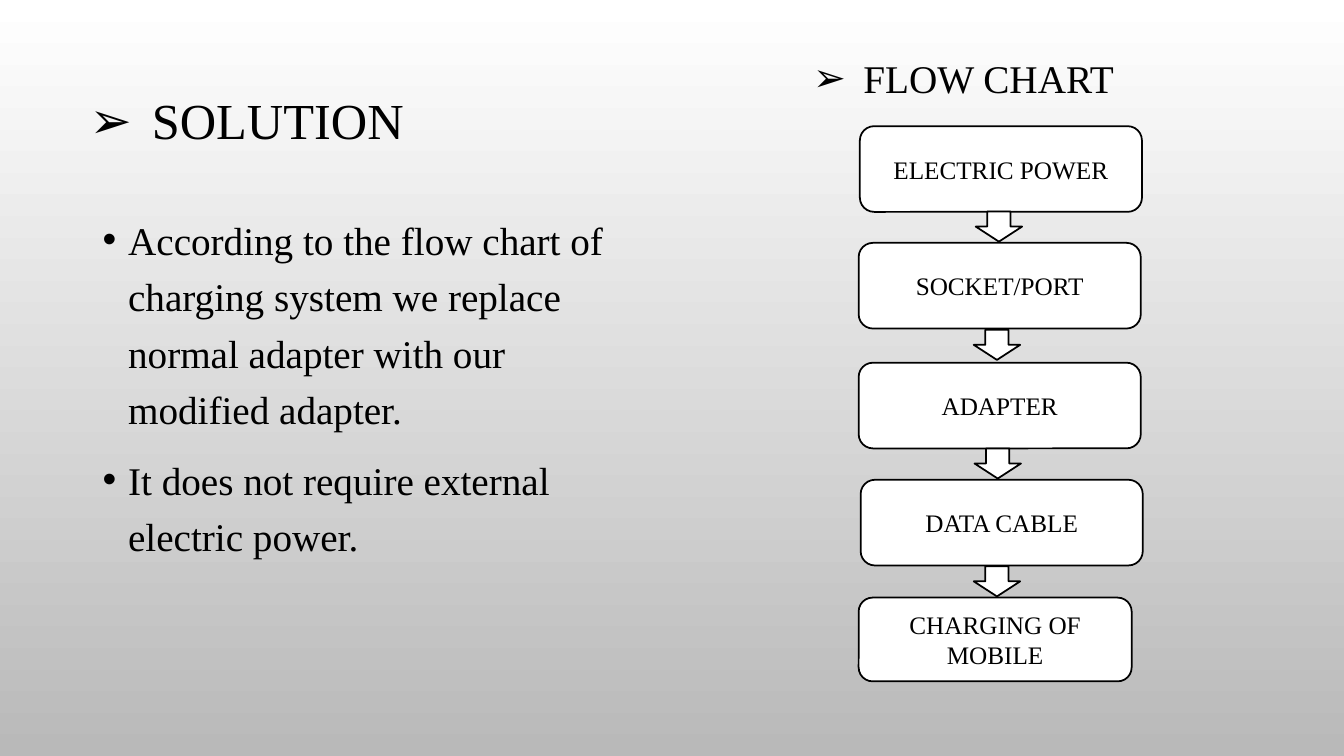
from dataclasses import dataclass

from lxml import etree
from pptx import Presentation
from pptx import util as u
from pptx.dml.color import RGBColor
from pptx.enum import shapes, text
from pptx.oxml.ns import qn

FONT = "Times New Roman"
INK = "000000"
PAPER = "FFFFFF"
SHADE = "B9B9B9"


@dataclass
class Step:
    label: str
    left: float
    top: float
    width: float = 7.11
    height: float = 2.16


@dataclass
class Arrow:
    left: float
    top: float


STEPS = [
    Step("ELECTRIC POWER", 21.67, 3.18),
    Step("SOCKET/PORT", 21.64, 6.12),
    Step("ADAPTER", 21.64, 9.14),
    Step("DATA CABLE", 21.69, 12.09),
    Step("CHARGING OF MOBILE", 21.64, 15.06, 6.88, 2.11),
]
ARROWS = [Arrow(24.59, 5.33), Arrow(24.54, 8.31), Arrow(24.56, 11.3), Arrow(24.54, 14.27)]
POINTS = [
    "According to the flow chart of charging system we replace normal adapter with our modified adapter.",
    "It does not require external electric power.",
]


def color(hex_value: str) -> RGBColor:
    return RGBColor.from_string(hex_value)


def box(left: float, top: float, width: float, height: float) -> tuple:
    return u.Cm(left), u.Cm(top), u.Cm(width), u.Cm(height)


def add_run(p, words: str, size: int) -> None:
    r = p.add_run()
    r.text = words
    r.font.name = FONT
    r.font.size = u.Pt(size)
    r.font.color.rgb = color(INK)


def add_bullet(p, char: str, indent: float) -> None:
    pPr = p._p.get_or_add_pPr()
    pPr.set("marL", str(u.Cm(indent)))
    pPr.set("indent", str(-u.Cm(indent)))
    buClr = etree.SubElement(pPr, qn("a:buClr"))
    etree.SubElement(buClr, qn("a:srgbClr"), val=INK)
    etree.SubElement(pPr, qn("a:buFont"), typeface="Arial")
    etree.SubElement(pPr, qn("a:buChar"), char=char)


def add_outlined(s, kind, left: float, top: float, width: float, height: float):
    sp = s.shapes.add_shape(kind, *box(left, top, width, height))
    sp.shadow.inherit = False
    sp.fill.solid()
    sp.fill.fore_color.rgb = color(PAPER)
    sp.line.color.rgb = color(INK)
    sp.line.width = u.Pt(1.25)
    return sp


def add_step(s, step: Step) -> None:
    sp = add_outlined(s, shapes.MSO_SHAPE.ROUNDED_RECTANGLE,
                      step.left, step.top, step.width, step.height)
    tf = sp.text_frame
    tf.word_wrap = True
    tf.vertical_anchor = text.MSO_ANCHOR.MIDDLE
    p = tf.paragraphs[0]
    p.alignment = text.PP_ALIGN.CENTER
    add_run(p, step.label, 18)


def add_title(s) -> None:
    title = s.shapes.title
    title.left, title.top, title.width, title.height = box(-0.71, 0.89, 14.17, 4.45)
    tf = title.text_frame
    tf.auto_size = text.MSO_AUTO_SIZE.NONE
    tf.vertical_anchor = text.MSO_ANCHOR.MIDDLE
    p = tf.paragraphs[0]
    add_bullet(p, "➢", 1.57)
    p.alignment = text.PP_ALIGN.CENTER
    p.line_spacing = 0.9
    add_run(p, "SOLUTION ", 36)


def add_points(s) -> None:
    tf = s.shapes.add_textbox(*box(2.34, 5.08, 14.4, 12.09)).text_frame
    tf.word_wrap = True
    for i, point in enumerate(POINTS):
        p = tf.add_paragraph() if i else tf.paragraphs[0]
        add_bullet(p, "•", 0.64)
        p.line_spacing = 1.2
        if i:
            p.space_before = u.Pt(10)
        add_run(p, point, 28)


def add_chart_heading(s) -> None:
    tf = s.shapes.add_textbox(*box(20.24, 1.24, 10.13, 1.45)).text_frame
    tf.word_wrap = True
    tf.auto_size = text.MSO_AUTO_SIZE.SHAPE_TO_FIT_TEXT
    p = tf.paragraphs[0]
    add_bullet(p, "➢", 1.27)
    add_run(p, "FLOW CHART", 28)


def set_background(s) -> None:
    fill = s.background.fill
    fill.gradient()
    fill.gradient_angle = 270
    for stop, shade in zip(fill.gradient_stops, (PAPER, SHADE)):
        stop.color.rgb = color(shade)


def main() -> None:
    prs = Presentation()
    prs.slide_width, prs.slide_height = u.Cm(33.87), u.Cm(19.05)
    s = prs.slides.add_slide(prs.slide_layouts[5])
    set_background(s)
    add_title(s)
    add_points(s)
    add_chart_heading(s)
    for step in STEPS:
        add_step(s, step)
    for arrow in ARROWS:
        add_outlined(s, shapes.MSO_SHAPE.DOWN_ARROW, arrow.left, arrow.top, 1.17, 0.76)
    prs.save("out.pptx")


if __name__ == "__main__":
    main()
